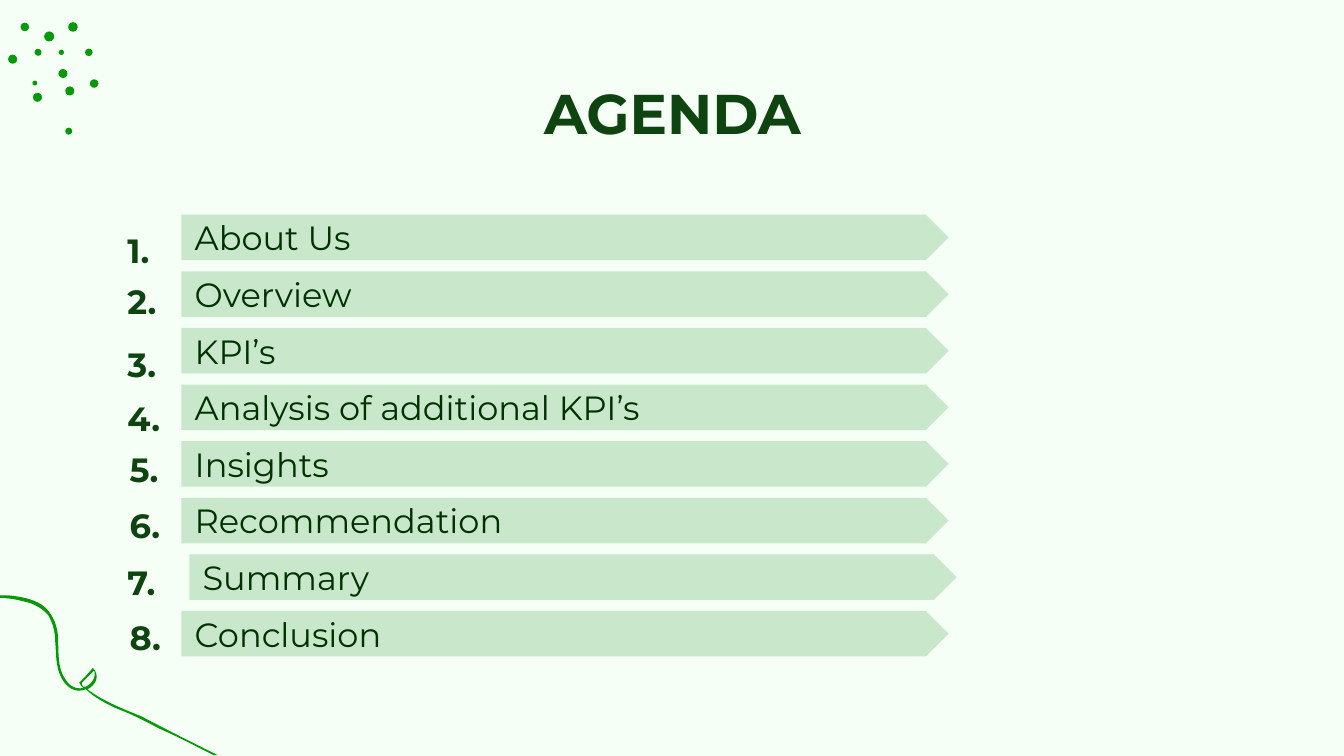
"""Build an agenda slide with numbered arrow bars and green decorations."""
from dataclasses import dataclass

from pptx import Presentation
from pptx.dml.color import RGBColor
from pptx.enum.shapes import MSO_SHAPE as Preset
from pptx.enum.text import MSO_ANCHOR as Anchor, MSO_AUTO_SIZE as AutoSize, PP_ALIGN as Align
from pptx.util import Cm, Pt

COLORS = {
    "background": "F6FFF6",
    "decoration": "029A06",
    "bar": "C9E8CB",
    "heading": "0E4410",
    "label": "003200",
}
FONT = "Montserrat"
BAR_TOP, BAR_STEP = 4.06, 1.07
CURVE_STEPS = 8


@dataclass(frozen=True)
class AgendaItem:
    label: str
    number_top: float
    number_left: float = 2.16
    bar_left: float = 3.43


@dataclass(frozen=True)
class Dot:
    center_x: float
    center_y: float
    diameter: float


@dataclass(frozen=True)
class Contour:
    start: tuple
    curves: tuple


ITEMS = (
    AgendaItem("About Us", 4.22),
    AgendaItem("Overview", 5.18),
    AgendaItem("KPI’s", 6.38),
    AgendaItem("Analysis of additional KPI’s", 7.39),
    AgendaItem("Insights", 8.36, number_left=2.2),
    AgendaItem("Recommendation", 9.42, number_left=2.2),
    AgendaItem("Summary", 10.49, bar_left=3.58),
    AgendaItem("Conclusion", 11.53, number_left=2.2),
)

DOTS = (
    Dot(0.47, 0.51, 0.16), Dot(0.93, 0.69, 0.19), Dot(1.38, 0.51, 0.18),
    Dot(0.72, 0.99, 0.13), Dot(1.16, 0.99, 0.1), Dot(1.68, 0.99, 0.14),
    Dot(0.24, 1.12, 0.17), Dot(1.19, 1.39, 0.17), Dot(0.66, 1.57, 0.09),
    Dot(1.78, 1.58, 0.16), Dot(0.71, 1.84, 0.17), Dot(1.32, 1.72, 0.17),
    Dot(1.3, 2.48, 0.13),
)

RIBBON = (
    Contour((159, 562), (
        (145, 555, 132, 548, 118, 542),
        (107, 536, 97, 531, 86, 527),
        (78, 523, 70, 519, 64, 513),
        (56, 516, 50, 512, 46, 505),
        (41, 496, 42, 486, 41, 476),
        (41, 470, 39, 463, 36, 458),
        (33, 454, 28, 451, 23, 449),
        (16, 447, 8, 445, 0, 445),
        (0, 444, 0, 444, 0, 443),
        (2, 443, 4, 443, 6, 443),
        (14, 444, 23, 445, 31, 450),
        (38, 455, 42, 463, 43, 472),
        (44, 483, 42, 497, 49, 506),
        (52, 511, 57, 513, 62, 512),
        (61, 511, 60, 510, 59, 508),
        (62, 505, 66, 501, 69, 497),
        (75, 503, 71, 510, 65, 513),
        (68, 515, 72, 518, 76, 520),
        (85, 525, 95, 529, 105, 533),
        (124, 543, 144, 553, 162, 562),
    )),
    Contour((64, 511), (
        (68, 509, 72, 504, 70, 499),
        (68, 501, 66, 503, 64, 505),
        (63, 506, 62, 507, 61, 508),
        (61, 509, 61, 510, 62, 511),
    )),
)


def color(name: str) -> RGBColor:
    return RGBColor.from_string(COLORS[name])


def write(shape, text: str, *, size: int = 18, ink: str = "heading", bold: bool = False,
          align: Align = Align.LEFT, anchor: Anchor = Anchor.TOP) -> None:
    frame = shape.text_frame
    frame.word_wrap = True
    frame.auto_size = AutoSize.NONE
    frame.vertical_anchor = anchor
    para = frame.paragraphs[0]
    para.alignment = align
    span = para.add_run()
    span.text = text
    span.font.name = FONT
    span.font.size = Pt(size)
    span.font.bold = bold
    span.font.color.rgb = color(ink)


def paint(shape, fill: str) -> None:
    shape.shadow.inherit = False
    shape.fill.solid()
    shape.fill.fore_color.rgb = color(fill)
    shape.line.fill.background()


def draw_dot(page, dot: Dot) -> None:
    radius = dot.diameter / 2
    oval = page.shapes.add_shape(
        Preset.OVAL, Cm(dot.center_x - radius), Cm(dot.center_y - radius),
        Cm(dot.diameter), Cm(dot.diameter))
    paint(oval, "decoration")


def trace(contour: Contour) -> list:
    """Return the contour's points in EMU, from hundredths of an inch."""
    points = [contour.start]
    for x1, y1, x2, y2, x3, y3 in contour.curves:
        x0, y0 = points[-1]
        for step in range(1, CURVE_STEPS + 1):
            t = step / CURVE_STEPS
            a, b, c, d = (1 - t) ** 3, 3 * t * (1 - t) ** 2, 3 * t * t * (1 - t), t ** 3
            points.append((a * x0 + b * x1 + c * x2 + d * x3,
                           a * y0 + b * y1 + c * y2 + d * y3))
    return [(Cm(x * 2.54 / 100), Cm(y * 2.54 / 100)) for x, y in points]


def draw_ribbon(page) -> None:
    outer, loop = (trace(contour) for contour in RIBBON)
    builder = page.shapes.build_freeform(*outer[0])
    builder.add_line_segments(outer[1:], close=True)
    builder.move_to(*loop[0])
    builder.add_line_segments(loop[1:], close=True)
    paint(builder.convert_to_shape(), "decoration")


def draw_item(page, index: int, item: AgendaItem) -> None:
    bar = page.shapes.add_shape(
        Preset.PENTAGON, Cm(item.bar_left), Cm(BAR_TOP + index * BAR_STEP), Cm(14.5), Cm(0.86))
    paint(bar, "bar")
    write(bar, item.label, ink="label", anchor=Anchor.MIDDLE)
    box = page.shapes.add_textbox(Cm(item.number_left), Cm(item.number_top), Cm(1.65), Cm(1.02))
    write(box, f"{index + 1}.", bold=True)


def main() -> None:
    deck = Presentation()
    deck.slide_width, deck.slide_height = Cm(25.4), Cm(14.29)
    page = deck.slides.add_slide(deck.slide_layouts[5])
    page.background.fill.solid()
    page.background.fill.fore_color.rgb = color("background")

    title = page.shapes.title
    title.left, title.top, title.width, title.height = Cm(2), Cm(1.24), Cm(21.42), Cm(1.6)
    write(title, "AGENDA", size=30, bold=True, align=Align.CENTER)
    frame = title.text_frame
    frame.margin_left = frame.margin_right = frame.margin_top = frame.margin_bottom = Cm(0.25)

    for dot in DOTS:
        draw_dot(page, dot)
    draw_ribbon(page)
    for index, item in enumerate(ITEMS):
        draw_item(page, index, item)
    deck.save("out.pptx")


if __name__ == "__main__":
    main()
